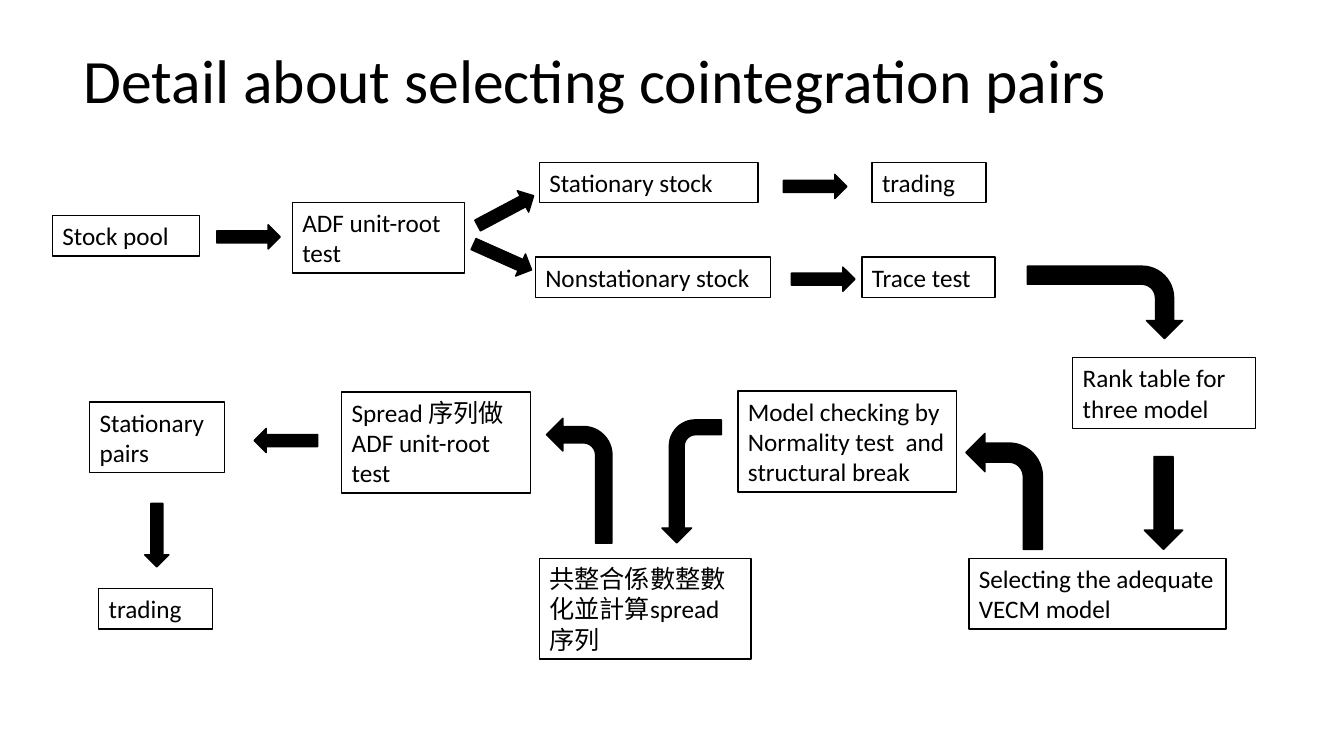
from pptx import Presentation
from pptx.dml.color import RGBColor
from pptx.enum.shapes import MSO_SHAPE
from pptx.enum.text import MSO_ANCHOR, MSO_AUTO_SIZE
from pptx.util import Inches, Pt

STRAIGHT = MSO_SHAPE.RIGHT_ARROW
BENT = MSO_SHAPE.BENT_ARROW
MIDDLE = MSO_ANCHOR.MIDDLE
GROW = MSO_AUTO_SIZE.SHAPE_TO_FIT_TEXT
FONT = "Calibri"
COLORS = {"ink": "000000", "paper": "FFFFFF"}
LINE = 0.3  # height that each further line of text adds to a box

# left, top, width, lines, text
STEPS = [
    (0.52, 2.14, 1.46, 1, "Stock pool"),
    (5.35, 1.61, 2.17, 1, "Stationary stock"),
    (2.9, 2.01, 1.71, 2, "ADF unit-root test"),
    (5.31, 2.55, 2.33, 1, "Nonstationary stock"),
    (8.65, 1.61, 1.13, 1, "trading"),
    (8.55, 2.55, 1.32, 1, "Trace test"),
    (10.64, 3.55, 1.81, 2, "Rank table for three model"),
    (9.61, 5.54, 2.55, 2, "Selecting the adequate VECM model"),
    (5.35, 5.54, 2.1, 3, "共整合係數整數化並計算spread序列"),
    (3.39, 3.89, 1.87, 3, "Spread 序列做ADF unit-root test"),
    (0.89, 3.99, 1.34, 2, "Stationary pairs"),
    (7.32, 3.88, 2.17, 3,
     "Model checking by Normality test  and structural break"),
    (0.98, 5.84, 1.13, 1, "trading"),
]

# left, top, turn in degrees
SHORT = [
    (2.15, 2.23, 0),
    (4.7, 1.97, 332),
    (4.67, 2.43, 24),
    (7.77, 1.73, 0),
    (7.85, 2.65, 0),
    (1.24, 5.19, 90),
    (2.52, 4.25, 180),
]

# left, top, width, height, turn, flipped axis
BENDS = [
    (9.58, 4.3, 0.76, 1.15, 0, "flipH"),
    (5.42, 4.15, 0.65, 1.24, 0, "flipH"),
    (10.6, 2.23, 0.72, 1.54, 90, None),
    (6.25, 4.48, 1.22, 0.59, 90, "flipV"),
]


def color(name):
    return RGBColor.from_string(COLORS[name])


def paint(shape, fill):
    """Give a shape its fill and the common black outline."""
    shape.fill.solid()
    shape.fill.fore_color.rgb = color(fill)
    shape.line.color.rgb = color("ink")
    shape.line.width = Pt(1)


def add_text(slide, left, top, width, height, text, size):
    box = slide.shapes.add_textbox(
        Inches(left), Inches(top), Inches(width), Inches(height))
    box.text_frame.word_wrap = True
    para = box.text_frame.paragraphs[0]
    para.text = text
    para.font.name = FONT
    para.font.size = Pt(size)
    para.font.color.rgb = color("ink")
    return box


def add_title(slide, text):
    frame = add_text(slide, 0.73, 0.3, 11.5, 1.06, text, 44).text_frame
    frame.vertical_anchor = MIDDLE
    frame.paragraphs[0].line_spacing = 0.9


def add_step(slide, left, top, width, lines, text):
    height = 0.4 + LINE * (lines - 1)
    box = add_text(slide, left, top, width, height, text, 18)
    box.text_frame.auto_size = GROW
    paint(box, "paper")


def add_arrow(slide, kind, left, top, width, height, turn, flip=None):
    arrow = slide.shapes.add_shape(
        kind, Inches(left), Inches(top), Inches(width), Inches(height))
    arrow.shadow.inherit = False
    arrow.rotation = turn
    paint(arrow, "ink")
    if flip:
        arrow._element.spPr.xfrm.set(flip, "1")


def main():
    deck = Presentation()
    deck.slide_width = Inches(13.33)
    deck.slide_height = Inches(7.5)
    slide = deck.slides.add_slide(deck.slide_layouts[6])

    add_title(slide, "Detail about selecting cointegration pairs")
    for step in STEPS:
        add_step(slide, *step)
    for left, top, turn in SHORT:
        add_arrow(slide, STRAIGHT, left, top, 0.63, 0.24, turn)
    add_arrow(slide, STRAIGHT, 11.08, 4.8, 0.92, 0.38, 90)
    for bend in BENDS:
        add_arrow(slide, BENT, *bend)

    deck.save("out.pptx")


if __name__ == "__main__":
    main()
